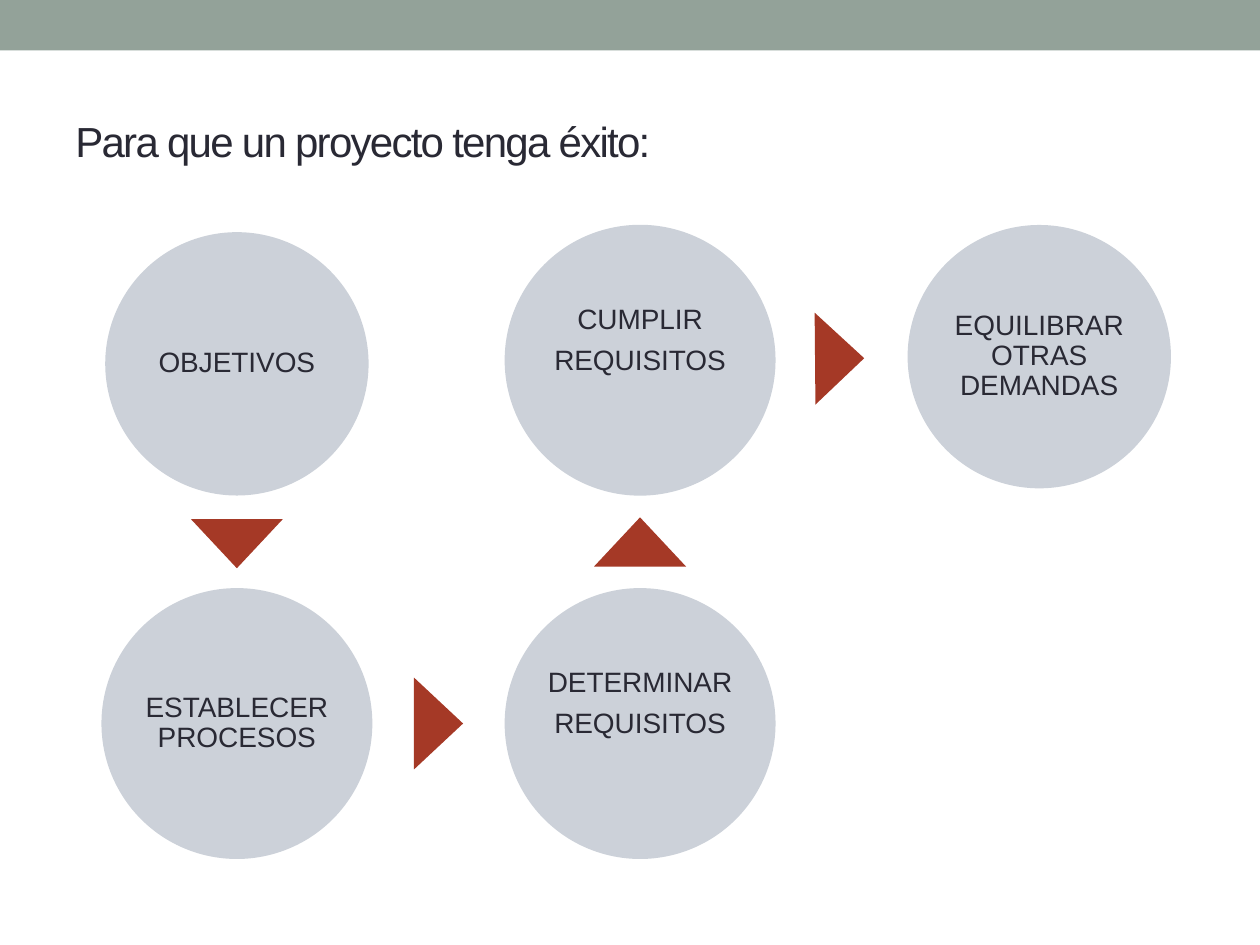
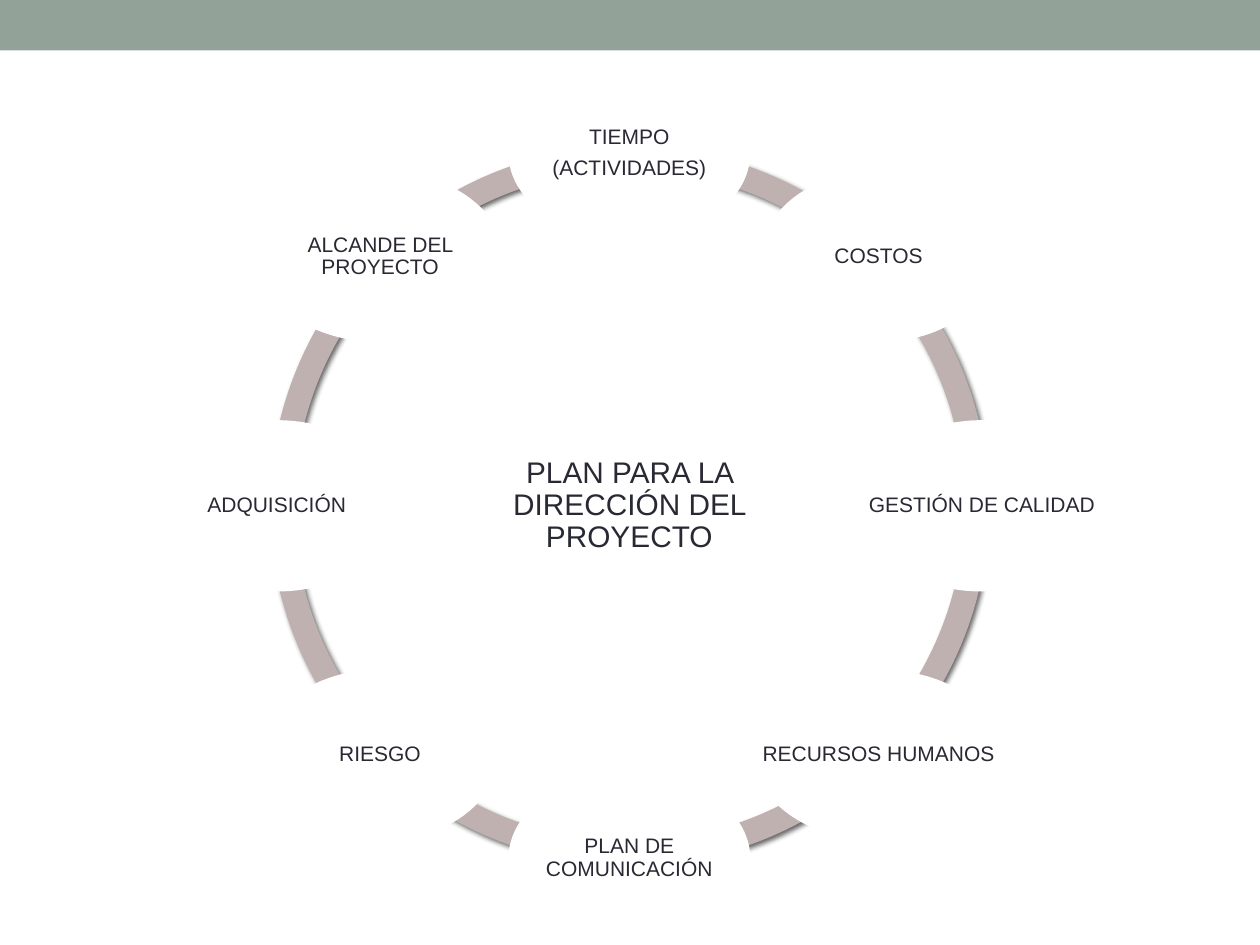
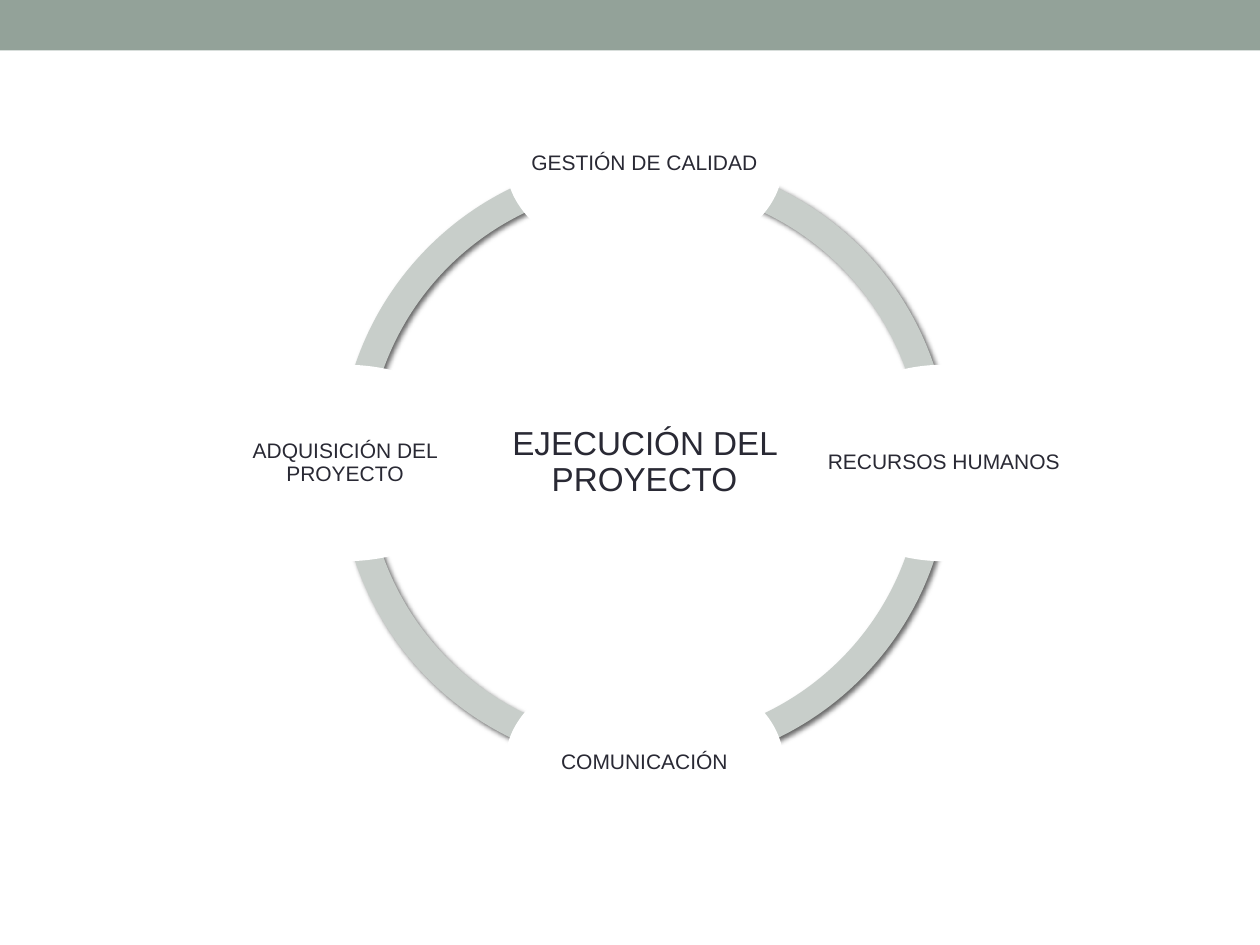
import math

import lxml.etree
import pptx
import pptx.dml.color
import pptx.enum.shapes
import pptx.enum.text
import pptx.oxml.ns
import pptx.util

SLIDE_WIDTH, SLIDE_HEIGHT = 10, 7.5
FONT = "Arial"
INK = pptx.dml.color.RGBColor(0x29, 0x29, 0x34)
WHITE = pptx.dml.color.RGBColor(0xFF, 0xFF, 0xFF)
SAGE = pptx.dml.color.RGBColor(0x93, 0xA2, 0x99)
PALE_SAGE = pptx.dml.color.RGBColor(0xC8, 0xCE, 0xCA)
MAUVE = pptx.dml.color.RGBColor(0xBE, 0xB1, 0xAF)
MIST = pptx.dml.color.RGBColor(0xCC, 0xD1, 0xD9)
BRICK = pptx.dml.color.RGBColor(0xA5, 0x39, 0x26)
SHAPES = pptx.enum.shapes.MSO_SHAPE

# Column, row, diameter, lines and space below the text
STEPS = [
    (0, 0, 2.09, ["OBJETIVOS"], 0),
    (0, 1, 2.15, ["ESTABLECER PROCESOS"], 0),
    (1, 1, 2.15, ["DETERMINAR", "REQUISITOS"], 0.31),
    (1, -0.01, 2.15, ["CUMPLIR", "REQUISITOS"], 0.31),
    (1.99, -0.02, 2.09, ["EQUILIBRAR OTRAS DEMANDAS"], 0),
]

# Topics clockwise from the top: width and lines
PLAN_TOPICS = [
    (1.92, ["TIEMPO", "(ACTIVIDADES)"]),
    (1.86, ["COSTOS"]),
    (1.92, ["GESTIÓN DE CALIDAD"]),
    (1.97, ["RECURSOS HUMANOS"]),
    (1.92, ["PLAN DE COMUNICACIÓN"]),
    (1.87, ["RIESGO"]),
    (1.92, ["ADQUISICIÓN"]),
    (1.95, ["ALCANDE DEL PROYECTO"]),
]
EXECUTION_TOPICS = [
    (2.2, ["GESTIÓN DE CALIDAD"]),
    (2.14, ["RECURSOS HUMANOS"]),
    (2.21, ["COMUNICACIÓN"]),
    (2.26, ["ADQUISICIÓN DEL PROYECTO"]),
]


def inches(box):
    return [pptx.util.Inches(length) for length in box]


def centred(x, y, width, height):
    return x - width / 2, y - height / 2, width, height


def add_filled(slide, preset, box, colour):
    shape = slide.shapes.add_shape(preset, *inches(box))
    shape.shadow.inherit = False
    shape.fill.solid()
    shape.fill.fore_color.rgb = colour
    shape.line.fill.background()
    return shape


def add_text(slide, box, lines, size, inset=0.02, space_below=0):
    frame = slide.shapes.add_textbox(*inches(box)).text_frame
    frame.word_wrap = True
    frame.vertical_anchor = pptx.enum.text.MSO_ANCHOR.MIDDLE
    frame.margin_left = frame.margin_right = frame.margin_top = pptx.util.Inches(inset)
    frame.margin_bottom = pptx.util.Inches(inset + space_below)
    for number, line in enumerate(lines):
        paragraph = frame.add_paragraph() if number else frame.paragraphs[0]
        run = paragraph.add_run()
        run.text = line
        run.font.name = FONT
        run.font.size = pptx.util.Pt(size)
        run.font.color.rgb = INK
    return frame.paragraphs


def add_disc(slide, box, colour, lines, size, space_below=0):
    """Ellipse with centred text that may use its full width."""
    add_filled(slide, SHAPES.OVAL, box, colour)
    for paragraph in add_text(slide, box, lines, size, space_below=space_below):
        paragraph.alignment = pptx.enum.text.PP_ALIGN.CENTER
        paragraph.line_spacing = 0.9
        paragraph.space_after = pptx.util.Pt(round(size * 0.39, 1))


def add_soft_shadow(shape):
    qn = pptx.oxml.ns.qn
    effects = shape._element.spPr.find(qn("a:effectLst"))
    shadow = lxml.etree.SubElement(
        effects, qn("a:outerShdw"), blurRad=str(pptx.util.Pt(3)),
        dist=str(pptx.util.Pt(2)), dir=str(45 * 60000), rotWithShape="0")
    black = lxml.etree.SubElement(shadow, qn("a:srgbClr"), val="000000")
    lxml.etree.SubElement(black, qn("a:alpha"), val="60000")


def add_banded_slide(deck):
    slide = deck.slides.add_slide(deck.slide_layouts[6])
    add_filled(slide, SHAPES.RECTANGLE, (0, 0, SLIDE_WIDTH, 0.4), SAGE)
    return slide


def add_title(slide, box, title):
    paragraph = add_text(slide, box, [title], 24, inset=0.1)[0]
    paragraph.runs[0].font._element.set("spc", "-100")


def add_flow(slide, box, steps):
    """Discs on a grid of three columns and two rows, joined by triangles."""
    left, top, width, height = box
    column, row = width / 3, height / 2
    centres = [(left + (c + 0.5) * column, top + (r + 0.5) * row)
               for c, r, *_ in steps]
    for (x, y), (_, _, diameter, lines, space_below) in zip(centres, steps):
        add_disc(slide, centred(x, y, diameter, diameter), MIST, lines, 16, space_below)

    # Each triangle sits halfway and points to the next step
    for (x1, y1), (x2, y2) in zip(centres, centres[1:]):
        arrow = add_filled(slide, SHAPES.ISOSCELES_TRIANGLE,
                           centred((x1 + x2) / 2, (y1 + y2) / 2, 0.73, 0.39), BRICK)
        arrow.rotation = math.degrees(math.atan2(x2 - x1, y1 - y2))


def add_cycle(slide, box, colour, thickness, core, core_share, core_size,
              topics, topic_height):
    """Ring of arcs with a central theme and topics spread around it."""
    left, top, diameter, _ = box
    x, y = left + diameter / 2, top + diameter / 2
    step = 360 / len(topics)

    # Arcs, counterclockwise from the top
    for number in range(len(topics)):
        start = (270 - step * (number + 1)) % 360
        arc = add_filled(slide, SHAPES.BLOCK_ARC, box, colour)
        # Angles are stored in 60000ths of a degree, adjustments in 100000ths
        arc.adjustments[0] = start * 0.6
        arc.adjustments[1] = (start + step) % 360 * 0.6
        arc.adjustments[2] = thickness
        add_soft_shadow(arc)

    # Central theme
    core_diameter = diameter * core_share
    add_disc(slide, centred(x, y, core_diameter, core_diameter), WHITE, [core], core_size)

    # Topics, clockwise from the top
    radius = diameter * 0.49
    for number, (width, lines) in enumerate(topics):
        angle = math.radians(step * number)
        topic_box = centred(x + radius * math.sin(angle), y - radius * math.cos(angle),
                            width, topic_height)
        add_disc(slide, topic_box, WHITE, lines, 12)


def main():
    deck = pptx.Presentation()
    deck.slide_width, deck.slide_height = inches((SLIDE_WIDTH, SLIDE_HEIGHT))

    success = add_banded_slide(deck)
    add_title(success, (0.5, 0.58, 9, 1.08), "Para que un proyecto tenga éxito:")
    add_flow(success, (0.28, 1.46, 9.6, 5.71), STEPS)

    plan = add_banded_slide(deck)
    add_cycle(plan, (2.14, 1.16, 5.71, 5.71), MAUVE, 0.034,
              "PLAN PARA LA DIRECCIÓN DEL PROYECTO", 0.34, 17, PLAN_TOPICS, 1.36)

    execution = add_banded_slide(deck)
    add_cycle(execution, (2.69, 1.25, 4.85, 4.85), PALE_SAGE, 0.046,
              "EJECUCIÓN DEL PROYECTO", 0.46, 19, EXECUTION_TOPICS, 1.56)

    deck.save("out.pptx")


if __name__ == "__main__":
    main()
